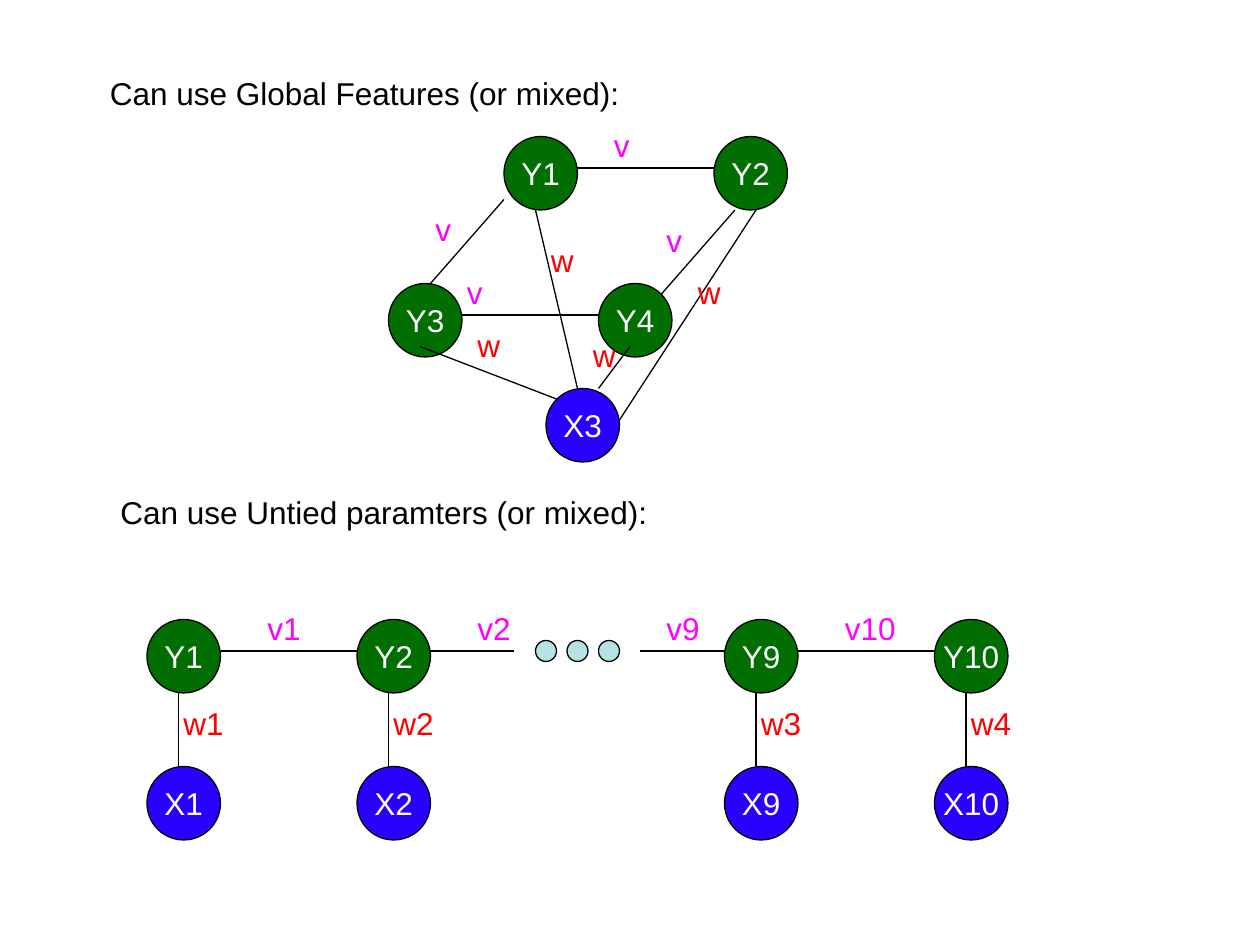
from dataclasses import dataclass

from lxml import etree
from pptx import Presentation
from pptx.dml.color import RGBColor
from pptx.enum.shapes import MSO_CONNECTOR, MSO_SHAPE
from pptx.enum.text import MSO_ANCHOR, PP_ALIGN
from pptx.oxml.ns import qn
from pptx.util import Cm, Pt

OVAL = MSO_SHAPE.OVAL
LINE = MSO_CONNECTOR.STRAIGHT
LEFT, MID = PP_ALIGN.LEFT, PP_ALIGN.CENTER
TOP, CORE = MSO_ANCHOR.TOP, MSO_ANCHOR.MIDDLE


@dataclass(frozen=True)
class Theme:
    font: str = "Arial"
    size: float = 18
    gap: float = 10.5
    rule: float = 0.75
    ink: str = "000000"
    pale: str = "FFFFFF"
    green: str = "006E00"
    blue: str = "2800FF"
    aqua: str = "B6E2E5"
    pink: str = "FF00FF"
    red: str = "FF0000"


def grid(n):
    return Cm(n * 2.54 / 12)


def write(frame, text, *, theme, color, align=LEFT, anchor=TOP, wrap=True, inset=0, gap=0):
    frame.word_wrap = wrap
    frame.vertical_anchor = anchor
    frame.margin_left = frame.margin_right = Cm(inset)
    frame.margin_top = frame.margin_bottom = 0
    para = frame.paragraphs[0]
    para.alignment = align
    para.space_before = Pt(gap)
    run = para.add_run()
    run.text = text
    run.font.name = theme.font
    run.font.size = Pt(theme.size)
    run.font.color.rgb = RGBColor.from_string(color)


class Graph:
    """Draws nodes, edges and labels on a slide grid of twelve units per inch."""

    def __init__(self, slide, theme):
        self.shapes = slide.shapes
        self.theme = theme

    def stroke(self, line):
        line.color.rgb = RGBColor.from_string(self.theme.ink)
        line.width = Pt(self.theme.rule)

    def dot(self, x, y, size, color):
        dot = self.shapes.add_shape(OVAL, grid(x), grid(y), grid(size), grid(size))
        dot.shadow.inherit = False
        dot.fill.solid()
        dot.fill.fore_color.rgb = RGBColor.from_string(color)
        self.stroke(dot.line)
        return dot

    def node(self, text, x, y, color):
        dot = self.dot(x, y, 7, color)
        write(dot.text_frame, text, theme=self.theme, color=self.theme.pale,
              align=MID, anchor=CORE, wrap=False)

    def edge(self, x1, y1, x2, y2):
        edge = self.shapes.add_connector(LINE, grid(x1), grid(y1), grid(x2), grid(y2))
        self.stroke(edge.line)
        etree.SubElement(edge._element.spPr, qn("a:effectLst"))

    def label(self, text, x, y, color, width=12):
        box = self.shapes.add_textbox(grid(x), grid(y), grid(width), grid(4.7))
        write(box.text_frame, text, theme=self.theme, color=color,
              inset=0.1, gap=self.theme.gap)


def mixed(graph):
    theme = graph.theme
    graph.label("Can use Global Features (or mixed):", 10, 7, theme.ink, 63)
    for text, x, y in (("Y1", 48, 13), ("Y2", 68, 13), ("Y3", 37, 27), ("Y4", 57, 27)):
        graph.node(text, x, y, theme.green)
    graph.node("X3", 52, 37, theme.blue)
    for ends in (
        (55, 16, 68, 16), (44, 30, 57, 30), (48, 19, 41, 27), (70, 20, 63, 28),
        (55, 37, 51, 20), (53, 38, 40, 33), (57, 37, 60, 33), (59, 40, 72, 20),
    ):
        graph.edge(*ends)
    for x, y in ((41, 20), (58, 12), (63, 21), (44, 26)):
        graph.label("v", x, y, theme.pink)
    for x, y in ((45, 31), (52, 23), (66, 26), (56, 32)):
        graph.label("w", x, y, theme.red)


def untied(graph):
    theme = graph.theme
    graph.label("Can use Untied paramters (or mixed):", 11, 47, theme.ink, 89)
    for rank, (step, x) in enumerate(((1, 14), (2, 34), (9, 69), (10, 89)), 1):
        graph.node(f"Y{step}", x, 59, theme.green)
        graph.node(f"X{step}", x, 73, theme.blue)
        graph.edge(x + 3, 66, x + 3, 73)
        graph.label(f"w{rank}", x + 3, 67, theme.red)
    for text, start, end, x in (
        ("v1", 21, 34, 25), ("v2", 41, 49, 45), ("v9", 61, 69, 63), ("v10", 76, 89, 80),
    ):
        graph.edge(start, 62, end, 62)
        graph.label(text, x, 58, theme.pink)
    for x in (51, 54, 57):
        graph.dot(x, 61, 2, theme.aqua)


def main():
    deck = Presentation()
    deck.slide_width, deck.slide_height = Cm(25.4), Cm(19.05)
    graph = Graph(deck.slides.add_slide(deck.slide_layouts[6]), Theme())
    mixed(graph)
    untied(graph)
    deck.save("out.pptx")


if __name__ == "__main__":
    main()
